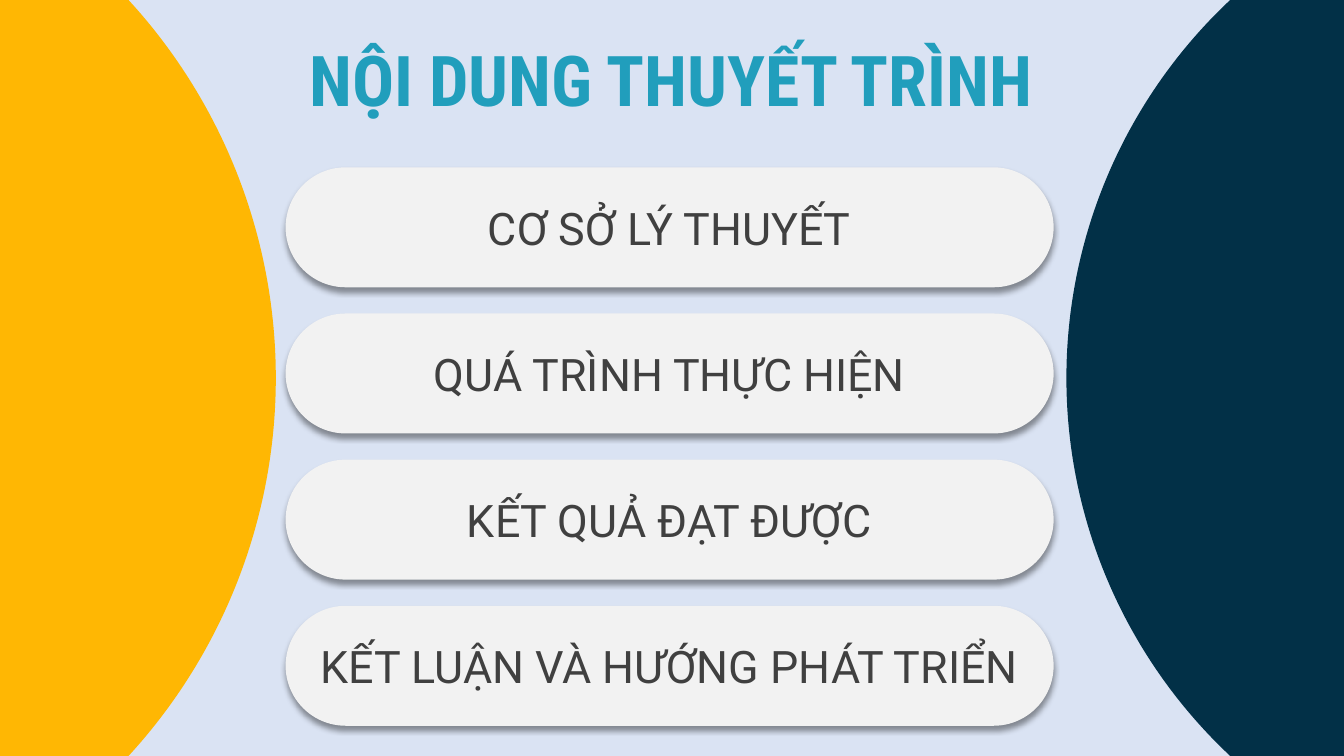
import pptx
import pptx.dml.color
import pptx.enum.shapes
import pptx.enum.text
import pptx.oxml
import pptx.oxml.ns
import pptx.util

Pt = pptx.util.Pt
SHAPES = pptx.enum.shapes.MSO_SHAPE
ANCHOR = pptx.enum.text.MSO_ANCHOR
AUTO_SIZE = pptx.enum.text.MSO_AUTO_SIZE
CENTER = pptx.enum.text.PP_ALIGN.CENTER

TOPICS = [
    "CƠ SỞ LÝ THUYẾT",
    "QUÁ TRÌNH THỰC HIỆN",
    "KẾT QUẢ ĐẠT ĐƯỢC",
    "KẾT LUẬN VÀ HƯỚNG PHÁT TRIỂN",
]


def color(value):
    return pptx.dml.color.RGBColor.from_string(value)


class SlideBuilder:
    title_format = {"name": "Roboto Condensed", "size": Pt(50), "bold": True}
    topic_format = {"name": "Roboto", "size": Pt(32), "bold": False}

    def __init__(self, page, background):
        self.page = page
        page.background.fill.solid()
        page.background.fill.fore_color.rgb = color(background)

    def add_text(self, box, text, font_format, text_color):
        para = box.text_frame.paragraphs[0]
        para.alignment = CENTER
        span = para.add_run()
        span.text = text
        for name, value in font_format.items():
            setattr(span.font, name, value)
        span.font.color.rgb = color(text_color)

    def title(self, text, left, top, width, height):
        box = self.page.shapes.title
        for name, value in zip(("left", "top", "width", "height"), (left, top, width, height)):
            setattr(box, name, Pt(value))
        frame_format = {
            "word_wrap": False,
            "auto_size": AUTO_SIZE.SHAPE_TO_FIT_TEXT,
            "vertical_anchor": ANCHOR.TOP,
        }
        for name, value in frame_format.items():
            setattr(box.text_frame, name, value)
        self.add_text(box, text, self.title_format, "219EBC")

    def shape(self, kind, left, top, width, height, fill):
        box = self.page.shapes.add_shape(kind, Pt(left), Pt(top), Pt(width), Pt(height))
        box.shadow.inherit = False
        box.fill.solid()
        box.fill.fore_color.rgb = color(fill)
        box.line.fill.background()
        return box

    def circle(self, left, top, diameter, fill):
        self.shape(SHAPES.OVAL, left, top, diameter, diameter, fill)

    def pill(self, text, left, top, width, height):
        box = self.shape(SHAPES.ROUNDED_RECTANGLE, left, top, width, height, "F2F2F2")
        box.adjustments[0] = 0.5
        box.text_frame.word_wrap = True
        box.text_frame.vertical_anchor = ANCHOR.MIDDLE
        self.drop_shadow(box)
        self.add_text(box, text, self.topic_format, "404040")

    def drop_shadow(self, box):
        effects = box.element.spPr.find(pptx.oxml.ns.qn("a:effectLst"))
        effects.append(pptx.oxml.parse_xml(
            f'<a:outerShdw {pptx.oxml.ns.nsdecls("a")} blurRad="{Pt(4)}" dist="{Pt(3)}" '
            'dir="5400000" algn="t" rotWithShape="0">'
            '<a:srgbClr val="000000"><a:alpha val="40000"/></a:srgbClr></a:outerShdw>'))


def main():
    deck = pptx.Presentation()
    deck.slide_width, deck.slide_height = Pt(960), Pt(540)
    title_only = deck.slide_layouts[5]
    builder = SlideBuilder(deck.slides.add_slide(title_only), "DAE3F3")

    # Side circles, running past the slide edges
    builder.circle(-601, -129, 798, "FFB703")
    builder.circle(761.75, -100, 740, "023047")

    # Heading
    builder.title("NỘI DUNG THUYẾT TRÌNH", 154, 22.3, 651, 67.7)

    # Agenda topics, evenly stacked
    for row, topic in enumerate(TOPICS):
        builder.pill(topic, 204, 119.5 + row * 104.4, 548.6, 85.7)

    deck.save("out.pptx")


if __name__ == "__main__":
    main()
